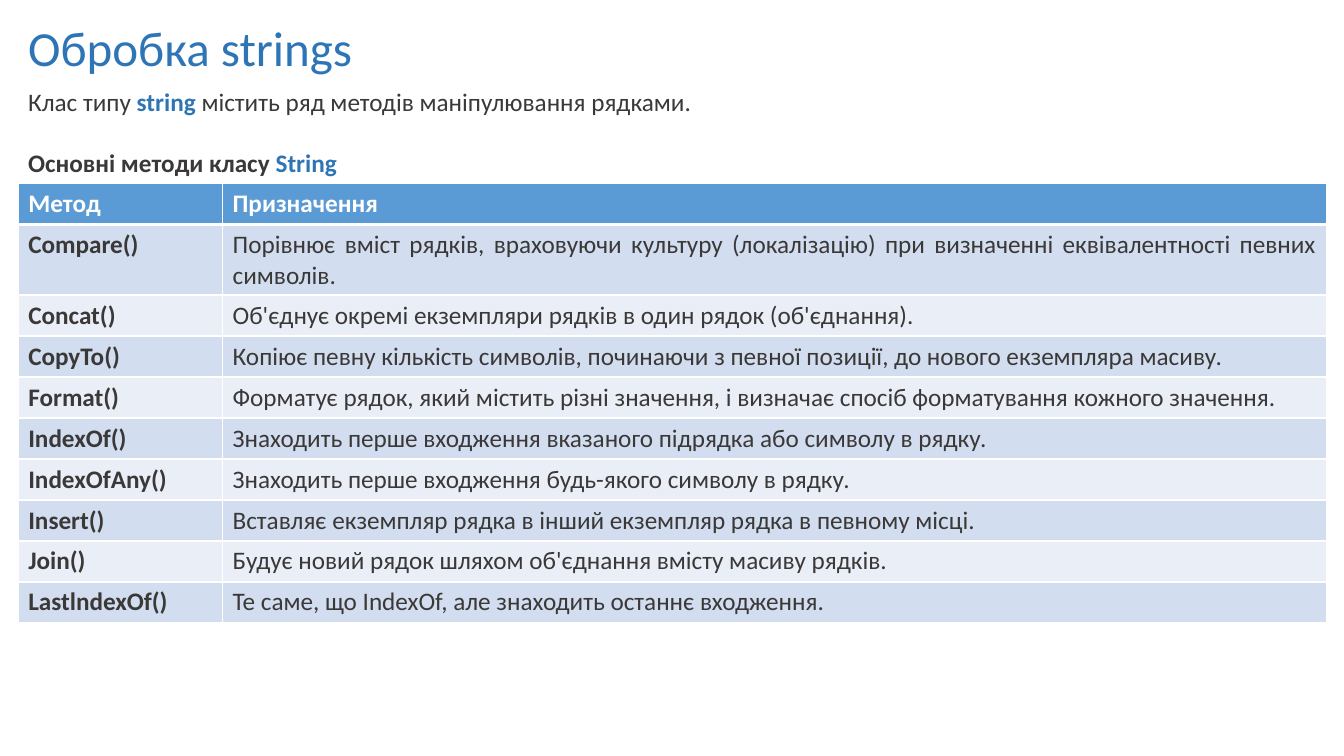
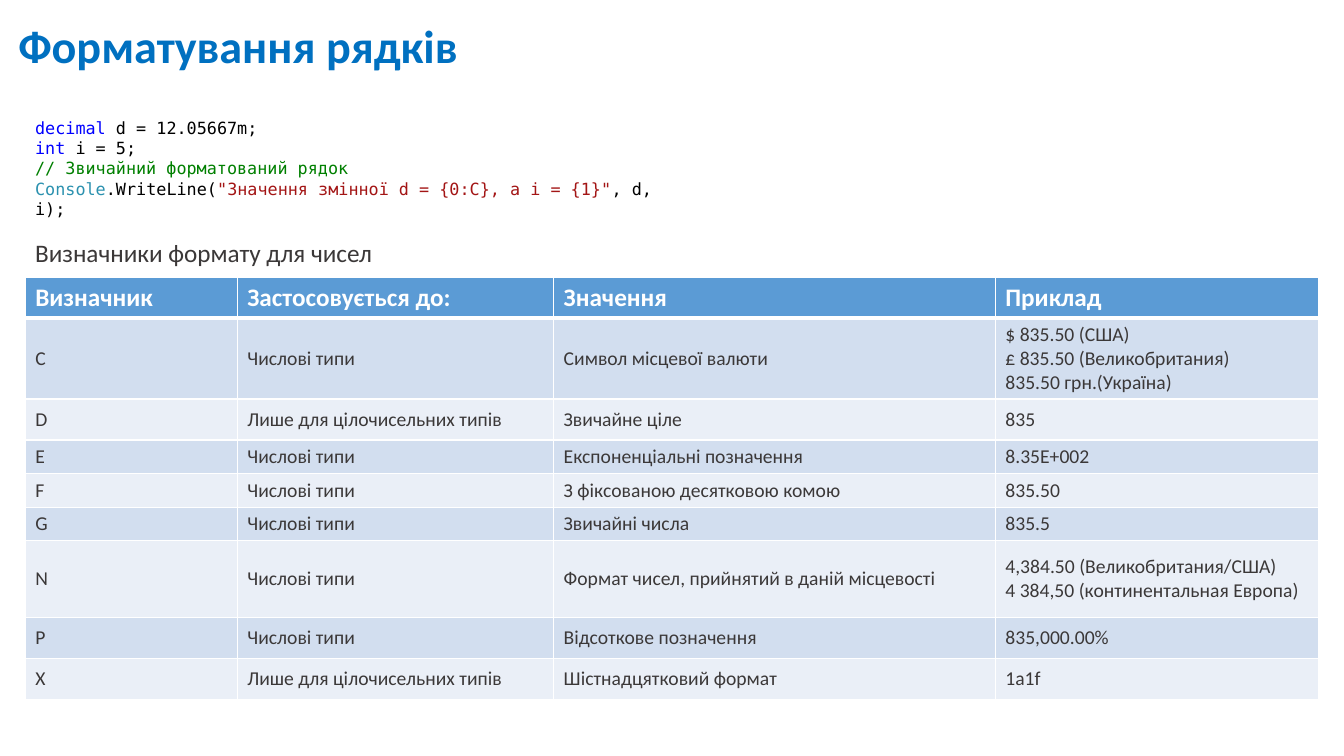
from pptx import Presentation
from pptx.dml.color import RGBColor
from pptx.enum import text as txt
from pptx.oxml import parse_xml
from pptx.oxml.ns import nsdecls
from pptx.util import Pt

COLORS = {
    "title": "2E75B6", "bold_title": "0070C0", "accent": "2E75B6",
    "body": "3B3838", "white": "FFFFFF",
    "header": "5B9BD5", "band_dark": "D2DEEF", "band_light": "EAEFF7",
    "keyword": "0000FF", "code": "000000", "comment": "008000",
    "type": "2B91AF", "literal": "A31515",
}
BODY_FONT, CODE_FONT = "Calibri", "DejaVu Sans Mono"
TOP, MIDDLE = txt.MSO_ANCHOR.TOP, txt.MSO_ANCHOR.MIDDLE
LEFT, JUSTIFY = txt.PP_ALIGN.LEFT, txt.PP_ALIGN.JUSTIFY
TITLE_TOP = 8.64
ROW = 29.3

STRING_METHODS = [
    ("Метод", "Призначення"),
    ("Compare()", "Порівнює вміст рядків, враховуючи культуру (локалізацію) "
                  "при визначенні еквівалентності певних символів."),
    ("Concat()", "Об'єднує окремі екземпляри рядків в один рядок (об'єднання)."),
    ("СоруТо()", "Копіює певну кількість символів, починаючи з певної позиції, "
                 "до нового екземпляра масиву."),
    ("Format()", "Форматує рядок, який містить різні значення, і визначає "
                 "спосіб форматування кожного значення."),
    ("IndexOf()", "Знаходить перше входження вказаного підрядка або символу в рядку."),
    ("IndexOfAny()", "Знаходить перше входження будь-якого символу в рядку."),
    ("Insert()", "Вставляє екземпляр рядка в інший екземпляр рядка в певному місці."),
    ("Join()", "Будує новий рядок шляхом об'єднання вмісту масиву рядків."),
    ("LastlndexOf()", "Те саме, що IndexOf, але знаходить останнє входження."),
]

NUMERIC, INTEGER = "Числові типи", "Лише для цілочисельних типів"
FORMAT_SPECIFIERS = [
    ("Визначник", "Застосовується до:", "Значення", "Приклад"),
    ("C", NUMERIC, "Символ місцевої валюти",
     "$ 835.50 (США)\n£ 835.50 (Великобритания)\n835.50 грн.(Україна)"),
    ("D", INTEGER, "Звичайне ціле", "835"),
    ("E", NUMERIC, "Експоненціальні позначення", "8.35Е+002"),
    ("F", NUMERIC, "З фіксованою десятковою комою", "835.50"),
    ("G", NUMERIC, "Звичайні числа", "835.5"),
    ("N", NUMERIC, "Формат чисел, прийнятий в даній місцевості",
     "4,384.50 (Великобритания/США)\n4 384,50 (континентальная Европа)"),
    ("P", NUMERIC, "Відсоткове позначення", "835,000.00%"),
    ("X", INTEGER, "Шістнадцятковий формат", "1a1f"),
]

CODE_LINES = [
    [("decimal", "keyword"), (" d = 12.05667m;", "code")],
    [("int ", "keyword"), ("i = 5;", "code")],
    [("// Звичайний форматований рядок", "comment")],
    [("Console", "type"), (".WriteLine(", "code"),
     ('"Значення змінної d = {0:C}, а i = {1}"', "literal"), (", d, i);", "code")],
]


def rgb(name):
    return RGBColor.from_string(COLORS[name])


def add_run(paragraph, words, color, size, bold=False, font=BODY_FONT):
    run = paragraph.add_run()
    run.text = words
    run.font.name, run.font.size, run.font.bold = font, Pt(size), bold
    run.font.color.rgb = rgb(color)


def fill_frame(frame, lines, size, font=BODY_FONT, align=LEFT, gap=0):
    """Write lines of (words, color[, bold]) runs, gap points apart."""
    for index, runs in enumerate(lines):
        paragraph = frame.add_paragraph() if index else frame.paragraphs[0]
        paragraph.alignment = align
        if index and gap:
            paragraph.space_before = Pt(gap)
        for words, color, *bold in runs:
            add_run(paragraph, words, color, size, any(bold), font)


def add_text(slide, box, lines, size, anchor=TOP, **style):
    frame = slide.shapes.add_textbox(*map(Pt, box)).text_frame
    frame.word_wrap = True
    frame.vertical_anchor = anchor
    fill_frame(frame, lines, size, **style)
    return frame


def set_borders(cell, top, bottom):
    properties = cell._tc.get_or_add_tcPr()
    for side, width in (("L", 1), ("R", 1), ("T", top), ("B", bottom)):
        properties.append(parse_xml(
            f'<a:ln{side} {nsdecls("a")} w="{Pt(width)}"><a:solidFill>'
            f'<a:srgbClr val="{COLORS["white"]}"/></a:solidFill></a:ln{side}>'))


def add_banded_table(slide, left, top, widths, heights, rows, size,
                     anchor=TOP, bold_first=False, last_align=LEFT):
    table = slide.shapes.add_table(
        len(rows), len(widths), Pt(left), Pt(top),
        Pt(sum(widths)), Pt(sum(heights))).table
    table.horz_banding = False
    for column, width in zip(table.columns, widths):
        column.width = Pt(width)
    for r, (height, values) in enumerate(zip(heights, rows)):
        table.rows[r].height = Pt(height)
        is_header = r == 0
        band = "header" if is_header else "band_dark" if r % 2 else "band_light"
        for c, value in enumerate(values):
            cell = table.cell(r, c)
            set_borders(cell, 3 if r == 1 else 1, 3 if is_header else 1)
            cell.fill.solid()
            cell.fill.fore_color.rgb = rgb(band)
            cell.vertical_anchor = TOP if is_header else anchor
            color = "white" if is_header else "body"
            bold = is_header or (bold_first and c == 0)
            is_last = c == len(values) - 1
            fill_frame(cell.text_frame,
                       [[(line, color, bold)] for line in value.split("\n")],
                       18 if is_header else size,
                       align=last_align if is_last and not is_header else LEFT)


def add_methods_slide(slide):
    left = 13
    add_text(slide, (left, TITLE_TOP, 250, 92), [[("Обробка strings", "title")]], 35)
    add_text(slide, (left, 58.3, 702, 72.7), [
        [("Клас типу ", "body"), ("string ", "accent", True),
         ("містить ряд методів маніпулювання рядками.", "body")],
        [("Основні методи класу ", "body", True), ("String", "accent", True)],
    ], 18, gap=22)
    add_banded_table(slide, left, 131, (146, 788.5), [ROW] * len(STRING_METHODS),
                     STRING_METHODS, 18, bold_first=True, last_align=JUSTIFY)


def add_formatting_slide(slide):
    left = 18
    title = add_text(slide, (6, TITLE_TOP, 770, 52),
                     [[("Форматування рядків", "bold_title", True)]], 33, MIDDLE)
    title.paragraphs[0].line_spacing = 0.9
    add_text(slide, (left, 80.6, 480, 66), CODE_LINES, 12, font=CODE_FONT)
    add_text(slide, (left, 165.6, 260, 51),
             [[("Визначники формату для чисел", "body")]], 18)
    heights = [ROW, 57, ROW, 24, 24, 24, 54.7, ROW, ROW]
    add_banded_table(slide, left, 198, (151.5, 226, 315.5, 231), heights,
                     FORMAT_SPECIFIERS, 14, MIDDLE)


def main():
    deck = Presentation()
    deck.slide_width, deck.slide_height = Pt(960), Pt(540)
    blank = deck.slide_layouts[6]
    for build in (add_methods_slide, add_formatting_slide):
        build(deck.slides.add_slide(blank))
    deck.save("out.pptx")


if __name__ == "__main__":
    main()
